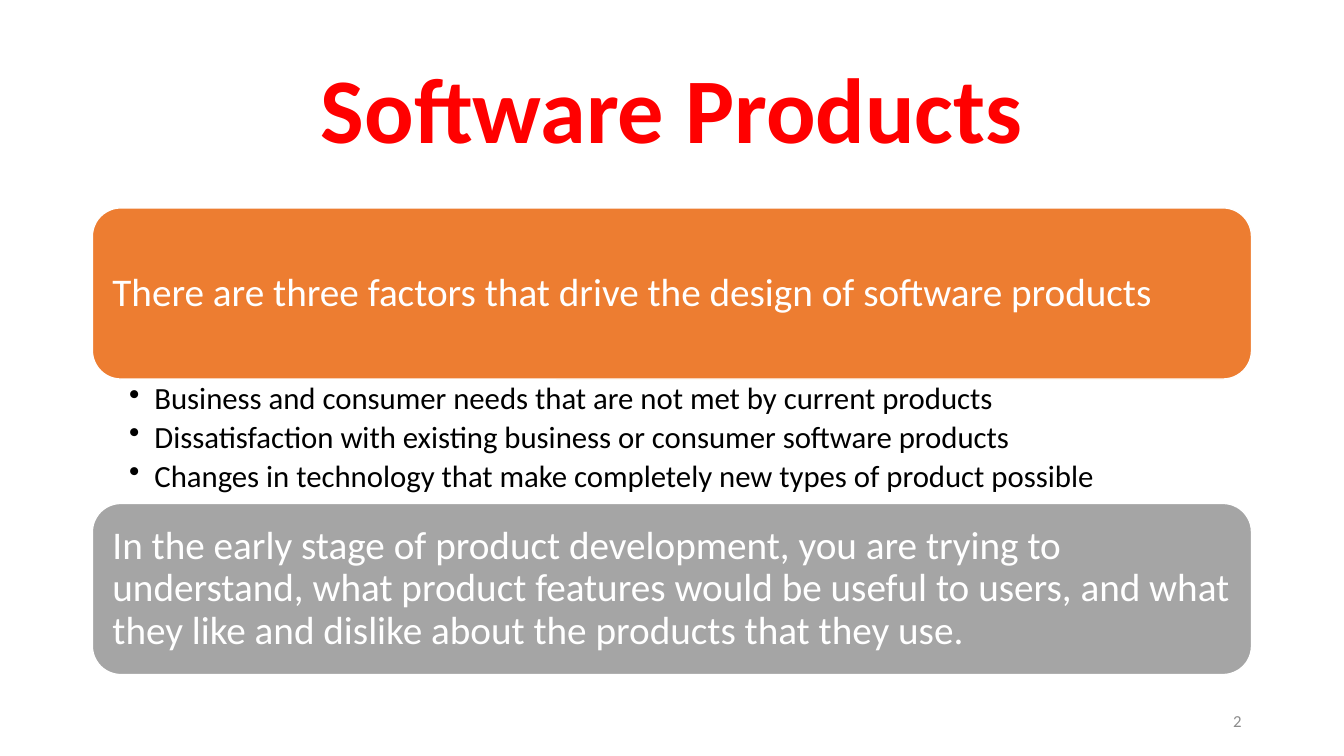
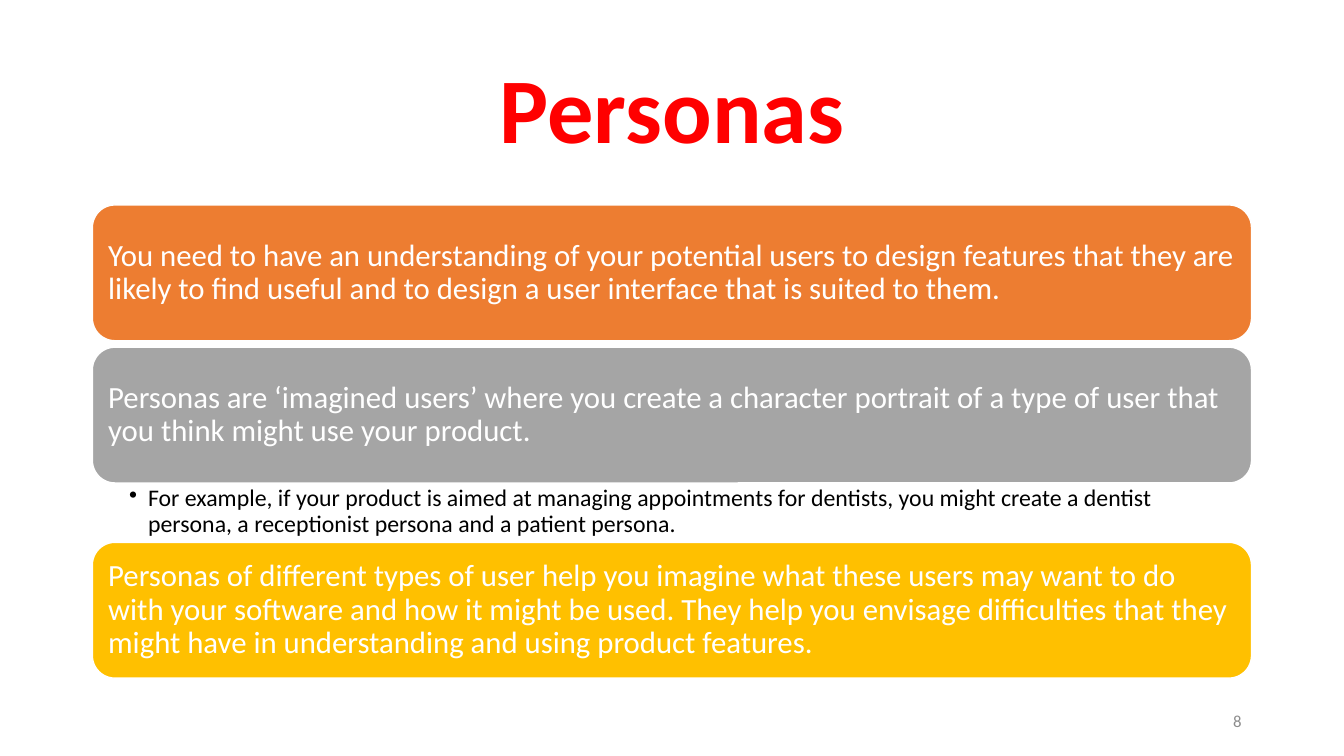
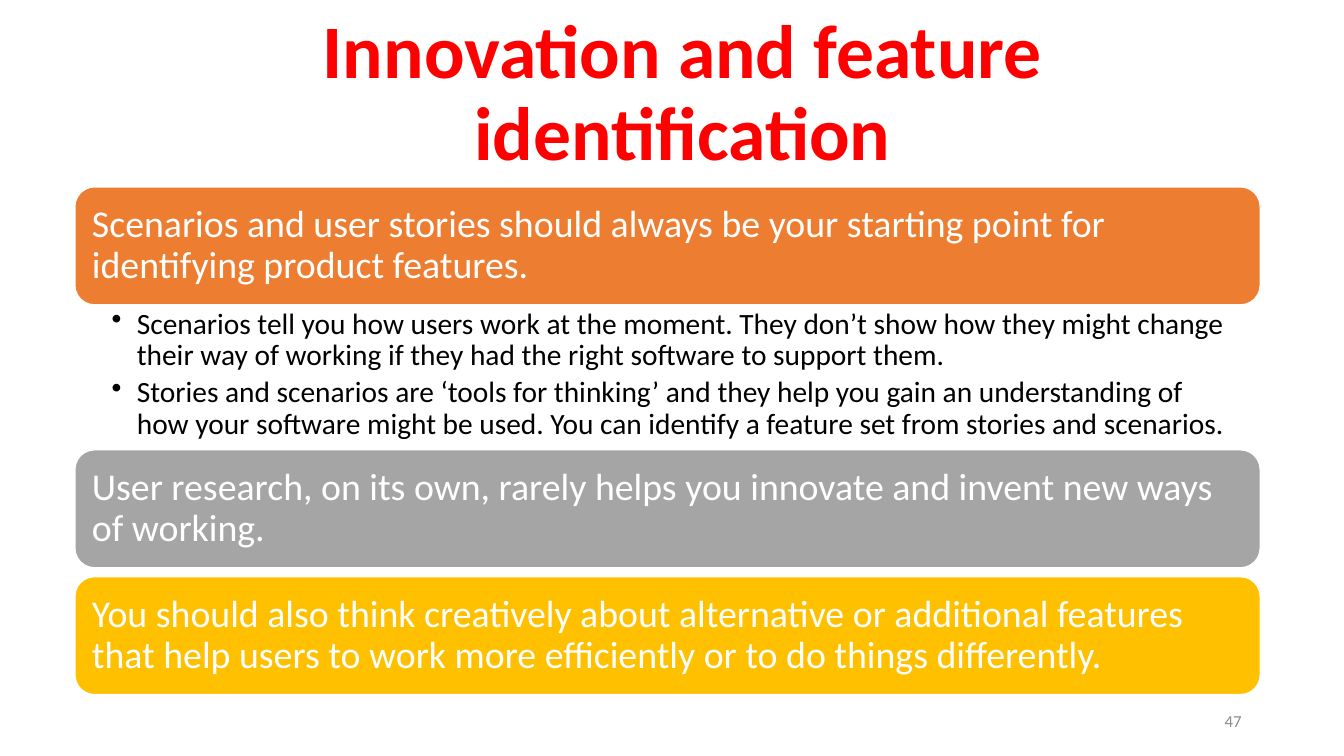
from dataclasses import dataclass

import pptx
import pptx.dml.color
import pptx.enum.shapes
import pptx.enum.text
import pptx.oxml.ns
import pptx.presentation
import pptx.slide
import pptx.util
from lxml import etree

Pt = pptx.util.Pt
RGBColor = pptx.dml.color.RGBColor
ALIGN = pptx.enum.text.PP_ALIGN
ANCHOR = pptx.enum.text.MSO_ANCHOR

RED = RGBColor(0xFF, 0x00, 0x00)
ORANGE = RGBColor(0xED, 0x7D, 0x31)
GREY = RGBColor(0xA5, 0xA5, 0xA5)
GOLD = RGBColor(0xFF, 0xC0, 0x00)
WHITE = RGBColor(0xFF, 0xFF, 0xFF)
BLACK = RGBColor(0x00, 0x00, 0x00)
NUMBER_GREY = RGBColor(0x8C, 0x8C, 0x8C)
BAND_FILLS = (ORANGE, GREY, GOLD)

FONT = "Calibri"
LINE_SPACING = 0.9
BULLET_INSET = 26.3


@dataclass(frozen=True)
class Section:
    """A coloured band and the bullets below it."""
    text: str
    bullets: tuple[str, ...] = ()


@dataclass(frozen=True)
class Page:
    title: str
    number: int
    title_box: tuple[float, float, float, float]
    title_size: float
    left: float
    top: float
    width: float
    band_height: float
    band_size: float
    bullets_height: float
    bullet_size: float
    bullet_indent: float
    gap: float
    sections: tuple[Section, ...]


PAGES = (
    Page(
        "Software Products", 2, (66, 28.75, 828, 104.4), 66,
        left=66, top=148.5, width=828, band_height=122.3, band_size=28,
        bullets_height=88.8, bullet_size=22, bullet_indent=18, gap=0,
        sections=(
            Section("There are three factors that drive the design of software products", (
                "Business and consumer needs that are not met by current products",
                "Dissatisfaction with existing business or consumer software products",
                "Changes in technology that make completely new types of product possible",
            )),
            Section("In the early stage of product development, you are trying to understand, "
                    "what product features would be useful to users, and what they like and "
                    "dislike about the products that they use."),
        )),
    Page(
        "Personas", 8, (66, 28.75, 828, 104.4), 66,
        left=66, top=146.4, width=828, band_height=97, band_size=22,
        bullets_height=42.4, bullet_size=17, bullet_indent=13.5, gap=4.6,
        sections=(
            Section("You need to have an understanding of your potential users to design features "
                    "that they are likely to find useful and to design a user interface that is "
                    "suited to them."),
            Section("Personas are ‘imagined users’ where you create a character portrait of a type "
                    "of user that you think might use your product.", (
                "For example, if your product is aimed at managing appointments for dentists, you "
                "might create a dentist persona, a receptionist persona and a patient persona.",
            )),
            Section("Personas of different types of user help you imagine what these users may want "
                    "to do with your software and how it might be used. They help you envisage "
                    "difficulties that they might have in understanding and using product features."),
        )),
    Page(
        "Innovation and feature identification", 47, (73.5, 36, 828, 63.4), 54,
        left=53.5, top=133.5, width=846.7, band_height=84.3, band_size=27,
        bullets_height=103.5, bullet_size=21, bullet_indent=18, gap=6.3,
        sections=(
            Section("Scenarios and user stories should always be your starting point for "
                    "identifying product features.", (
                "Scenarios tell you how users work at the moment. They don’t show how they might "
                "change their way of working if they had the right software to support them.",
                "Stories and scenarios are ‘tools for thinking’ and they help you gain an "
                "understanding of how your software might be used. You can identify a feature set "
                "from stories and scenarios.",
            )),
            Section("User research, on its own, rarely helps you innovate and invent new ways of "
                    "working."),
            Section("You should also think creatively about alternative or additional features that "
                    "help users to work more efficiently or to do things differently."),
        )),
)


def set_attrs(obj, values: dict) -> None:
    for name, value in values.items():
        setattr(obj, name, value)


def format_frame(tf, anchor, insets: tuple[float, float, float, float]) -> None:
    """Insets run left, top, right, bottom."""
    left, top, right, bottom = insets
    set_attrs(tf, {
        "word_wrap": True, "auto_size": pptx.enum.text.MSO_AUTO_SIZE.NONE,
        "vertical_anchor": anchor, "margin_left": Pt(left), "margin_top": Pt(top),
        "margin_right": Pt(right), "margin_bottom": Pt(bottom),
    })


def write(p, text: str, size: float, color: RGBColor, align=ALIGN.LEFT,
          bold: bool = False, line_spacing: float = LINE_SPACING) -> None:
    set_attrs(p, {"alignment": align, "line_spacing": line_spacing})
    r = p.add_run()
    r.text = text
    set_attrs(r.font, {"name": FONT, "size": Pt(size), "bold": bold})
    r.font.color.rgb = color


def add_bullet(p, indent: float) -> None:
    pPr = p._p.get_or_add_pPr()
    pPr.set("marL", str(Pt(indent)))
    pPr.set("indent", str(-Pt(indent)))
    etree.SubElement(pPr, pptx.oxml.ns.qn("a:buChar")).set("char", "•")


def draw_title(s: pptx.slide.Slide, page: Page) -> None:
    sp = s.shapes.title
    for name, value in zip(("left", "top", "width", "height"), page.title_box):
        setattr(sp, name, Pt(value))
    format_frame(sp.text_frame, ANCHOR.MIDDLE, (7.2, 3.6, 7.2, 3.6))
    write(sp.text_frame.paragraphs[0], page.title, page.title_size, RED, ALIGN.CENTER, bold=True)


def draw_band(s: pptx.slide.Slide, page: Page, top: float, text: str, fill: RGBColor) -> None:
    sp = s.shapes.add_shape(pptx.enum.shapes.MSO_SHAPE.ROUNDED_RECTANGLE, Pt(page.left), Pt(top),
                            Pt(page.width), Pt(page.band_height))
    sp.shadow.inherit = False
    sp.fill.solid()
    sp.fill.fore_color.rgb = fill
    sp.line.color.rgb = WHITE
    sp.line.width = Pt(1)
    format_frame(sp.text_frame, ANCHOR.MIDDLE, (0.3 * page.band_size,) * 4)
    write(sp.text_frame.paragraphs[0], text, page.band_size, WHITE)


def draw_bullets(s: pptx.slide.Slide, page: Page, top: float, bullets: tuple[str, ...]) -> None:
    size = page.bullet_size
    tf = s.shapes.add_textbox(Pt(page.left), Pt(top), Pt(page.width),
                              Pt(page.bullets_height)).text_frame
    format_frame(tf, ANCHOR.TOP, (BULLET_INSET, 0.13 * size, 0.71 * size, 0.13 * size))
    for i, text in enumerate(bullets):
        p = tf.add_paragraph() if i else tf.paragraphs[0]
        add_bullet(p, page.bullet_indent)
        p.space_after = Pt(0.18 * size)
        write(p, text, size, BLACK)


def draw_number(s: pptx.slide.Slide, number: int) -> None:
    tf = s.shapes.add_textbox(Pt(678), Pt(500.5), Pt(216), Pt(28.75)).text_frame
    format_frame(tf, ANCHOR.MIDDLE, (7.2, 3.6, 7.2, 3.6))
    write(tf.paragraphs[0], str(number), 12, NUMBER_GREY, ALIGN.RIGHT, line_spacing=1.0)


def draw_page(prs: pptx.presentation.Presentation, page: Page) -> None:
    s = prs.slides.add_slide(prs.slide_layouts.get_by_name("Title Only"))
    draw_title(s, page)
    top = page.top
    for section, fill in zip(page.sections, BAND_FILLS):
        draw_band(s, page, top, section.text, fill)
        top += page.band_height
        if section.bullets:
            draw_bullets(s, page, top, section.bullets)
            top += page.bullets_height
        else:
            top += page.gap
    draw_number(s, page.number)


def main() -> None:
    prs = pptx.Presentation()
    prs.slide_width, prs.slide_height = Pt(960), Pt(540)
    for page in PAGES:
        draw_page(prs, page)
    prs.save("out.pptx")


if __name__ == "__main__":
    main()
